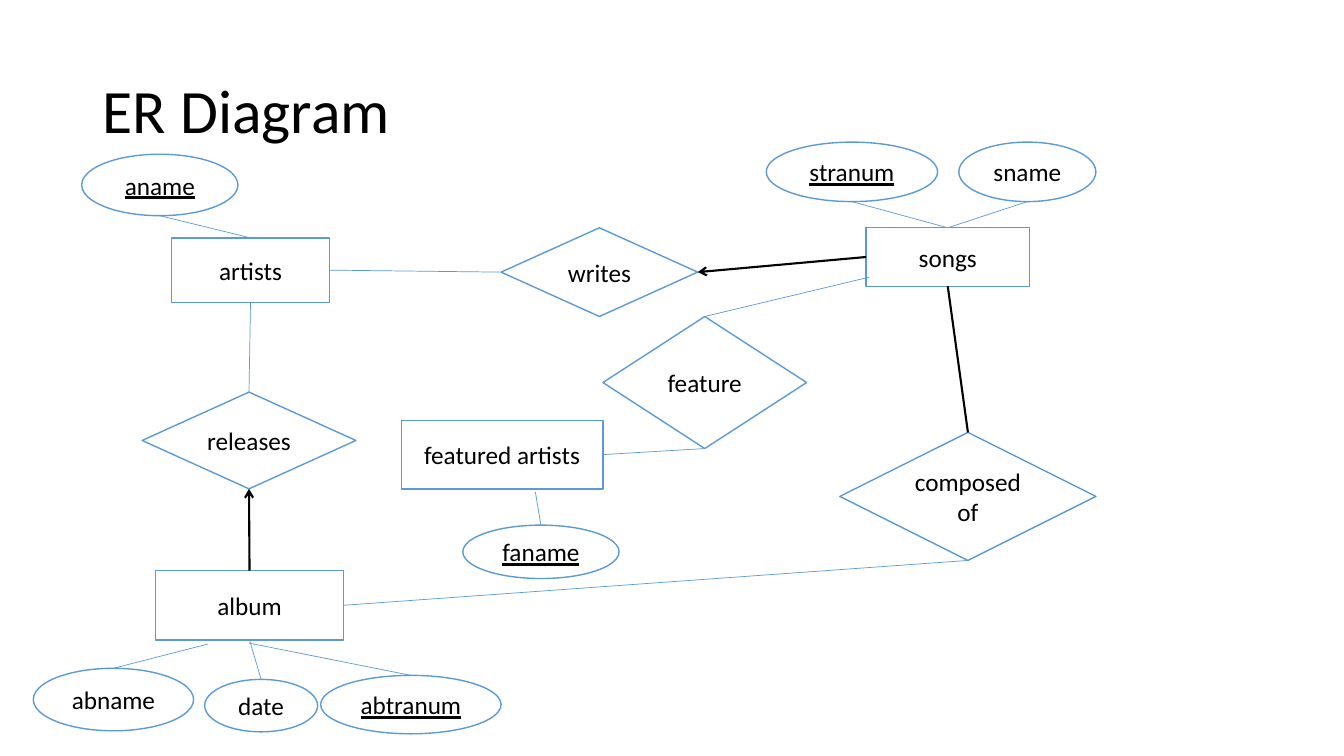
"""Build an entity-relationship diagram slide for a music database."""
from dataclasses import dataclass
from typing import Any, Union

import lxml.etree
import pptx
import pptx.dml.color
import pptx.enum.shapes
import pptx.enum.text
import pptx.oxml.ns
import pptx.util

Inches = pptx.util.Inches
Pt = pptx.util.Pt
RGBColor = pptx.dml.color.RGBColor
Kind = pptx.enum.shapes.MSO_SHAPE
Align = pptx.enum.text.PP_ALIGN

BLACK = RGBColor(0x00, 0x00, 0x00)
WHITE = RGBColor(0xFF, 0xFF, 0xFF)
BLUE = RGBColor(0x5B, 0x9B, 0xD5)
FONT = "Calibri"
TOP, LEFT, BOTTOM, RIGHT = range(4)


@dataclass(frozen=True)
class Node:
    name: str
    kind: Any
    left: float
    top: float
    width: float
    height: float
    key: bool = False


@dataclass(frozen=True)
class Site:
    name: str
    side: int


@dataclass(frozen=True)
class Point:
    x: float
    y: float


@dataclass(frozen=True)
class Link:
    start: Site
    end: Union[Site, Point]
    bold: bool = False
    arrow: bool = False


NODES = [
    Node("artists", Kind.RECTANGLE, 1.7, 2.36, 1.57, 0.64),
    Node("aname", Kind.OVAL, 0.81, 1.53, 1.55, 0.61, key=True),
    Node("writes", Kind.DIAMOND, 4.97, 2.26, 1.95, 0.88),
    Node("songs", Kind.RECTANGLE, 8.59, 2.26, 1.62, 0.58),
    Node("sname", Kind.OVAL, 9.51, 1.41, 1.36, 0.59),
    Node("stranum", Kind.OVAL, 7.6, 1.41, 1.7, 0.59, key=True),
    Node("feature", Kind.DIAMOND, 5.98, 3.14, 2.02, 1.31),
    Node("featured artists", Kind.RECTANGLE, 3.98, 4.17, 2, 0.68),
    Node("faname", Kind.OVAL, 4.59, 5.21, 1.55, 0.53, key=True),
    Node("composed of", Kind.DIAMOND, 8.33, 4.29, 2.54, 1.27),
    Node("releases", Kind.DIAMOND, 1.41, 3.89, 2.12, 0.96),
    Node("album", Kind.RECTANGLE, 1.54, 5.66, 1.87, 0.69),
    Node("abname", Kind.OVAL, 0.33, 6.63, 1.59, 0.62),
    Node("date", Kind.OVAL, 2.03, 6.74, 1.12, 0.52),
    Node("abtranum", Kind.OVAL, 3.18, 6.7, 1.79, 0.58, key=True),
]

LINKS = [
    Link(Site("aname", BOTTOM), Site("artists", TOP)),
    Link(Site("stranum", BOTTOM), Site("songs", TOP)),
    Link(Site("sname", BOTTOM), Site("songs", TOP)),
    Link(Site("artists", BOTTOM), Site("releases", TOP)),
    Link(Site("writes", RIGHT), Site("songs", LEFT), bold=True, arrow=True),
    Link(Site("writes", LEFT), Site("artists", RIGHT)),
    Link(Site("feature", TOP), Point(8.62, 2.75)),
    Link(Site("feature", BOTTOM), Site("featured artists", RIGHT)),
    Link(Site("faname", TOP), Point(5.31, 4.88)),
    Link(Site("songs", BOTTOM), Site("composed of", TOP), bold=True),
    Link(Site("releases", BOTTOM), Site("album", TOP), bold=True, arrow=True),
    Link(Site("abname", TOP), Point(2.06, 6.39)),
    Link(Site("date", TOP), Site("album", BOTTOM)),
    Link(Site("abtranum", TOP), Point(2.47, 6.38)),
    Link(Site("composed of", BOTTOM), Site("album", RIGHT)),
]


def write(shape: Any, text: str, *, size: float = 18, align: Any = Align.CENTER,
          under: bool = False, space: float = 1.0) -> None:
    frame = shape.text_frame
    frame.word_wrap = True
    frame.vertical_anchor = pptx.enum.text.MSO_ANCHOR.MIDDLE
    para = frame.paragraphs[0]
    para.alignment = align
    para.line_spacing = space
    run = para.add_run()
    run.text = text
    run.font.name = FONT
    run.font.size = Pt(size)
    run.font.color.rgb = BLACK
    if under:
        run.font.underline = True


def draw_node(slide: Any, node: Node) -> Any:
    shape = slide.shapes.add_shape(
        node.kind, Inches(node.left), Inches(node.top),
        Inches(node.width), Inches(node.height))
    shape.shadow.inherit = False
    shape.fill.solid()
    shape.fill.fore_color.rgb = WHITE
    shape.line.color.rgb = BLUE
    shape.line.width = Pt(1)
    write(shape, node.name, under=node.key)
    return shape


def locate(spot: Union[Site, Point], shapes: dict[str, Any]) -> tuple[int, int]:
    if isinstance(spot, Point):
        return Inches(spot.x), Inches(spot.y)
    box = shapes[spot.name]
    across, down = {TOP: (1, 0), LEFT: (0, 1), BOTTOM: (1, 2), RIGHT: (2, 1)}[spot.side]
    return box.left + box.width * across // 2, box.top + box.height * down // 2


def joins(spot: Union[Site, Point], shapes: dict[str, Any]) -> bool:
    if isinstance(spot, Point):
        return False
    return spot.side == TOP or shapes[spot.name].auto_shape_type != Kind.OVAL


def draw_link(slide: Any, link: Link, shapes: dict[str, Any]) -> None:
    line = slide.shapes.add_connector(
        pptx.enum.shapes.MSO_CONNECTOR.STRAIGHT,
        *locate(link.start, shapes), *locate(link.end, shapes))
    if joins(link.start, shapes):
        line.begin_connect(shapes[link.start.name], link.start.side)
    if joins(link.end, shapes):
        line.end_connect(shapes[link.end.name], link.end.side)
    line.line.color.rgb = BLACK if link.bold else BLUE
    line.line.width = Pt(1.5 if link.bold else 0.5)
    qn = pptx.oxml.ns.qn
    props = line._element.spPr
    if link.arrow:
        lxml.etree.SubElement(props.find(qn("a:ln")), qn("a:headEnd"), type="arrow")
    lxml.etree.SubElement(props, qn("a:effectLst"))


def main() -> None:
    deck = pptx.Presentation()
    deck.slide_width, deck.slide_height = Inches(13.33), Inches(7.5)
    slide = deck.slides.add_slide(deck.slide_layouts[5])
    title = slide.shapes.title
    title.left, title.top = Inches(0.92), Inches(0.4)
    title.width, title.height = Inches(11.5), Inches(1.45)
    write(title, "ER Diagram", size=44, align=Align.LEFT, space=0.9)
    shapes = {node.name: draw_node(slide, node) for node in NODES}
    for link in LINKS:
        draw_link(slide, link, shapes)
    deck.save("out.pptx")


if __name__ == "__main__":
    main()
